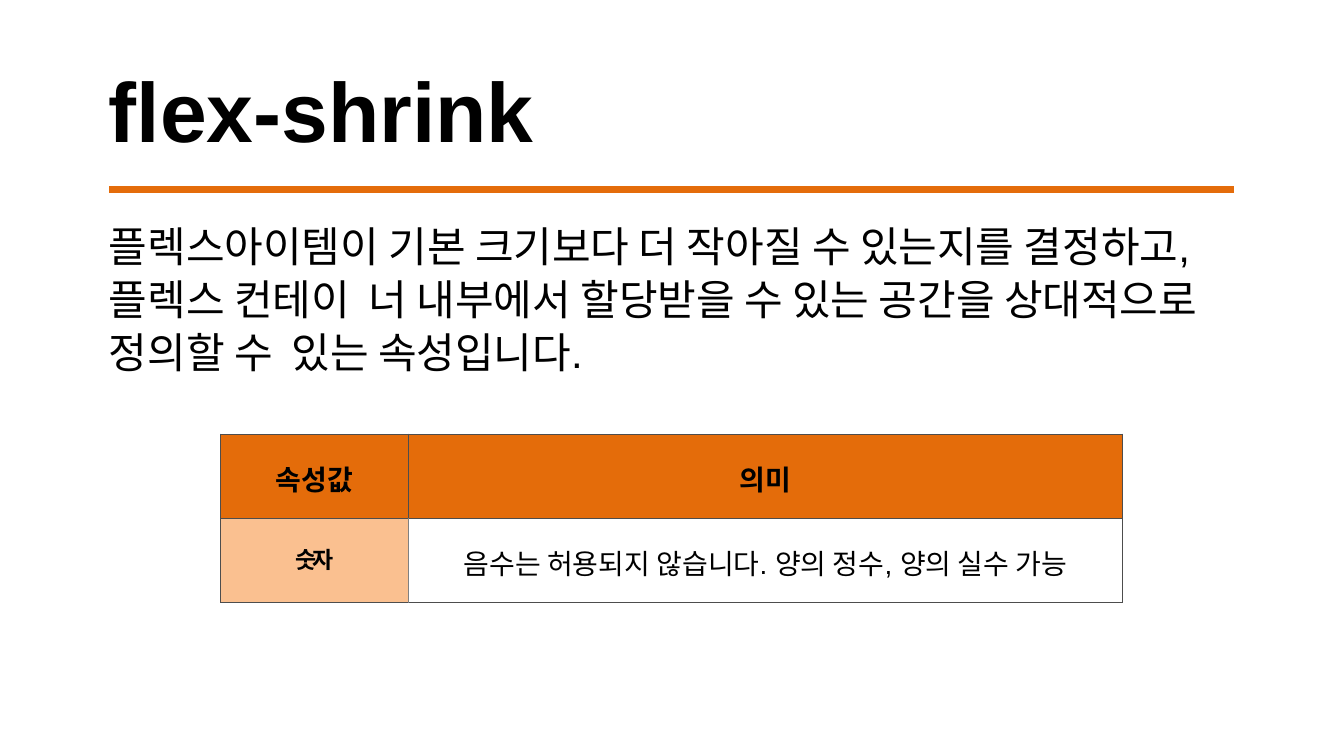
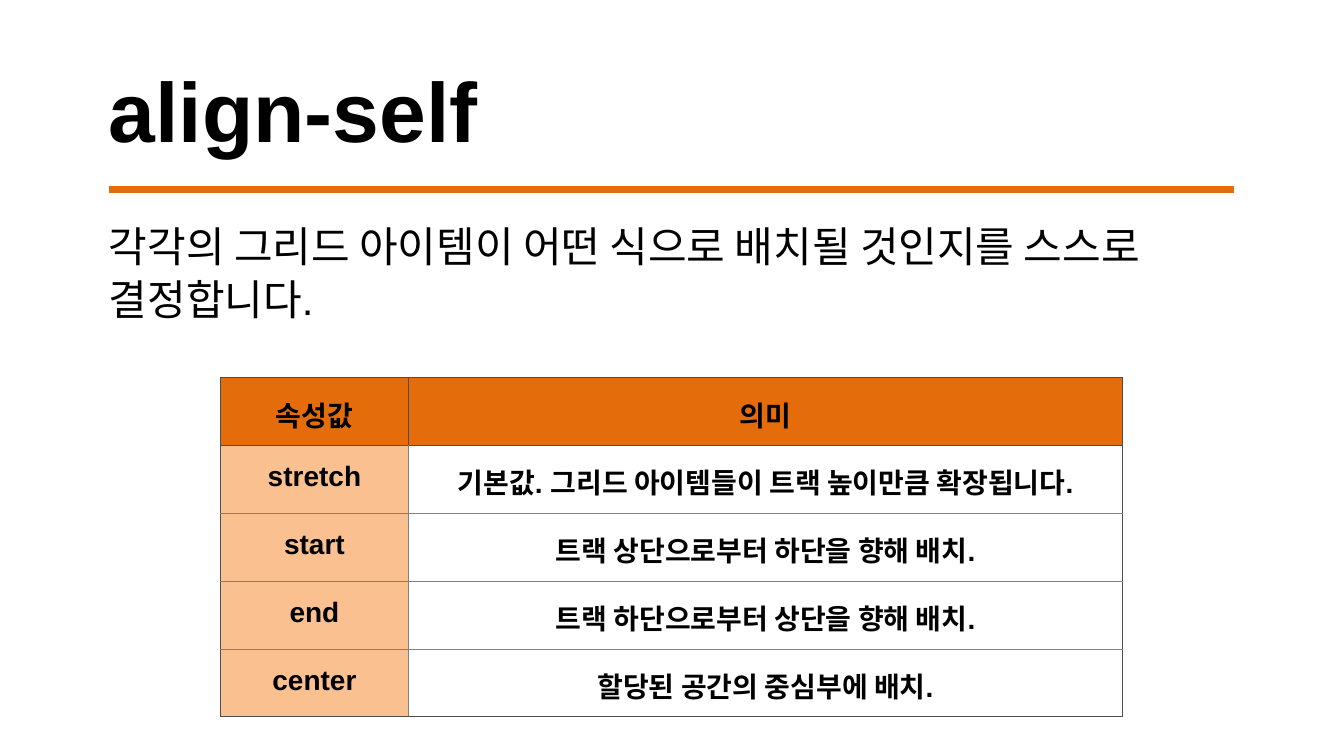
from lxml import etree
from pptx import Presentation
from pptx.dml.color import RGBColor as RGB
from pptx.enum.shapes import MSO_CONNECTOR as LINK
from pptx.enum.text import MSO_ANCHOR as ANCHOR, MSO_AUTO_SIZE as AUTO, PP_ALIGN as ALIGN
from pptx.oxml.ns import qn
from pptx.util import Inches, Pt

COLORS = {
    "text": "000000",
    "head": "E46C0A",
    "key": "FAC090",
    "edge": "4D4D4D",
    "grid": "808080",
}
LATIN, ASIAN = "Arial", "Noto Sans CJK KR"
COLS = (3.07, 11.69)
LEFT = 1.78

SHRINK = [
    ("속성값", "의미"),
    ("숫자", "음수는 허용되지 않습니다. 양의 정수, 양의 실수 가능"),
]
ALIGNS = [
    ("속성값", "의미"),
    ("stretch", "기본값. 그리드 아이템들이 트랙 높이만큼 확장됩니다."),
    ("start", "트랙 상단으로부터 하단을 향해 배치."),
    ("end", "트랙 하단으로부터 상단을 향해 배치."),
    ("center", "할당된 공간의 중심부에 배치."),
]


def color(name):
    return RGB.from_string(COLORS[name])


def style(para, size, bold=False, align=ALIGN.LEFT):
    para.alignment = align
    para.space_before = Pt(0)
    for run in para.runs:
        font = run.font
        font.name, font.size, font.bold = LATIN, Pt(size), bold
        font.color.rgb = color("text")
        asian = etree.Element(qn("a:ea"), typeface=ASIAN)
        font._element.find(qn("a:latin")).addnext(asian)


def place(shape, left, top, width, height):
    shape.left, shape.top = Inches(left), Inches(top)
    shape.width, shape.height = Inches(width), Inches(height)


def fill_holder(shape, text, inset, anchor):
    """Set the text of a placeholder and return its only paragraph."""
    frame = shape.text_frame
    frame.text = text
    frame.word_wrap = True
    frame.auto_size = AUTO.NONE
    frame.vertical_anchor = anchor
    frame.margin_left = frame.margin_right = frame.margin_bottom = 0
    frame.margin_top = Inches(inset)
    return frame.paragraphs[0]


def add_title(slide, text):
    shape = slide.shapes.title
    place(shape, LEFT, 0.93, 12.88, 1.68)
    style(fill_holder(shape, text, 0.01, ANCHOR.BOTTOM), 99, True)


def add_body(slide, text, height):
    shape = slide.placeholders[1]
    place(shape, LEFT, 3.49, 18.2, height)
    para = fill_holder(shape, text, 0.08, ANCHOR.TOP)
    style(para, 49.5)
    para.line_spacing = Pt(62.4)
    props = para._p.get_or_add_pPr()
    props.set("marL", "0")
    props.set("indent", "0")
    etree.SubElement(props, qn("a:buNone"))


def add_rule(slide):
    ends = (Inches(n) for n in (1.79, 3.1, 20.19, 3.1))
    rule = slide.shapes.add_connector(LINK.STRAIGHT, *ends)
    rule.line.color.rgb = color("head")
    rule.line.width = Pt(8.25)
    etree.SubElement(rule._element.spPr, qn("a:effectLst"))


def set_edges(cell, sides):
    """Draw the borders; sides maps L, R, T and B, in that order, to colours."""
    props = cell._tc.get_or_add_tcPr()
    for spot, (side, name) in enumerate(sides.items()):
        line = etree.Element(qn(f"a:ln{side}"), w=str(Pt(1)))
        fill = etree.SubElement(line, qn("a:solidFill"))
        etree.SubElement(fill, qn("a:srgbClr"), val=COLORS[name])
        props.insert(spot, line)


def fill_cell(cell, text, inset, size, bold, fill):
    cell.margin_left = cell.margin_right = cell.margin_bottom = 0
    cell.margin_top = Inches(inset)
    cell.text_frame.text = text
    style(cell.text_frame.paragraphs[0], size, bold, ALIGN.CENTER)
    if fill:
        cell.fill.solid()
        cell.fill.fore_color.rgb = color(fill)
    else:
        cell.fill.background()


def add_grid(slide, rows, top, step, inset, plain=False):
    """Add the value table; plain gives light meanings and a small, tight key."""
    frame = slide.shapes.add_table(
        len(rows), len(COLS), Inches(3.61), Inches(top),
        Inches(sum(COLS)), Inches(step * len(rows)))
    table = frame.table
    table.first_row = table.horz_banding = False
    for col, width in zip(table.columns, COLS):
        col.width = Inches(width)
    for r, row in enumerate(rows):
        table.rows[r].height = Inches(step)
        for c, text in enumerate(row):
            cell = table.cell(r, c)
            head, key = r == 0, c == 0
            light = plain and not head
            fill = "head" if head else "key" if key else None
            fill_cell(cell, text, inset, 27 if light and key else 33,
                      key or not light, fill)
            if light and key:
                run = cell.text_frame.paragraphs[0].runs[0]
                run.font._element.set("spc", "-450")
            outer = {"L": key, "R": not key, "T": r == 1, "B": r == len(rows) - 1}
            set_edges(cell, {side: "edge" if head or dark else "grid"
                             for side, dark in outer.items()})


def add_page(deck, title, body, height):
    slide = deck.slides.add_slide(deck.slide_layouts[1])
    add_title(slide, title)
    add_body(slide, body, height)
    add_rule(slide)
    return slide


def main():
    deck = Presentation()
    deck.slide_width, deck.slide_height = Inches(21.99), Inches(12.37)

    page = add_page(
        deck, "flex-shrink",
        "플렉스아이템이 기본 크기보다 더 작아질 수 있는지를 결정하고, "
        "플렉스 컨테이  너 내부에서 할당받을 수 있는 공간을 상대적으로 "
        "정의할 수  있는 속성입니다.", 2.6)
    add_grid(page, SHRINK, 7.1, 1.38, 0.39, plain=True)

    page = add_page(
        deck, "align-self",
        "각각의 그리드 아이템이 어떤 식으로 배치될 것인지를 스스로 결정합니다.", 1.72)
    add_grid(page, ALIGNS, 6.18, 1.11, 0.26)

    deck.save("out.pptx")


if __name__ == "__main__":
    main()
